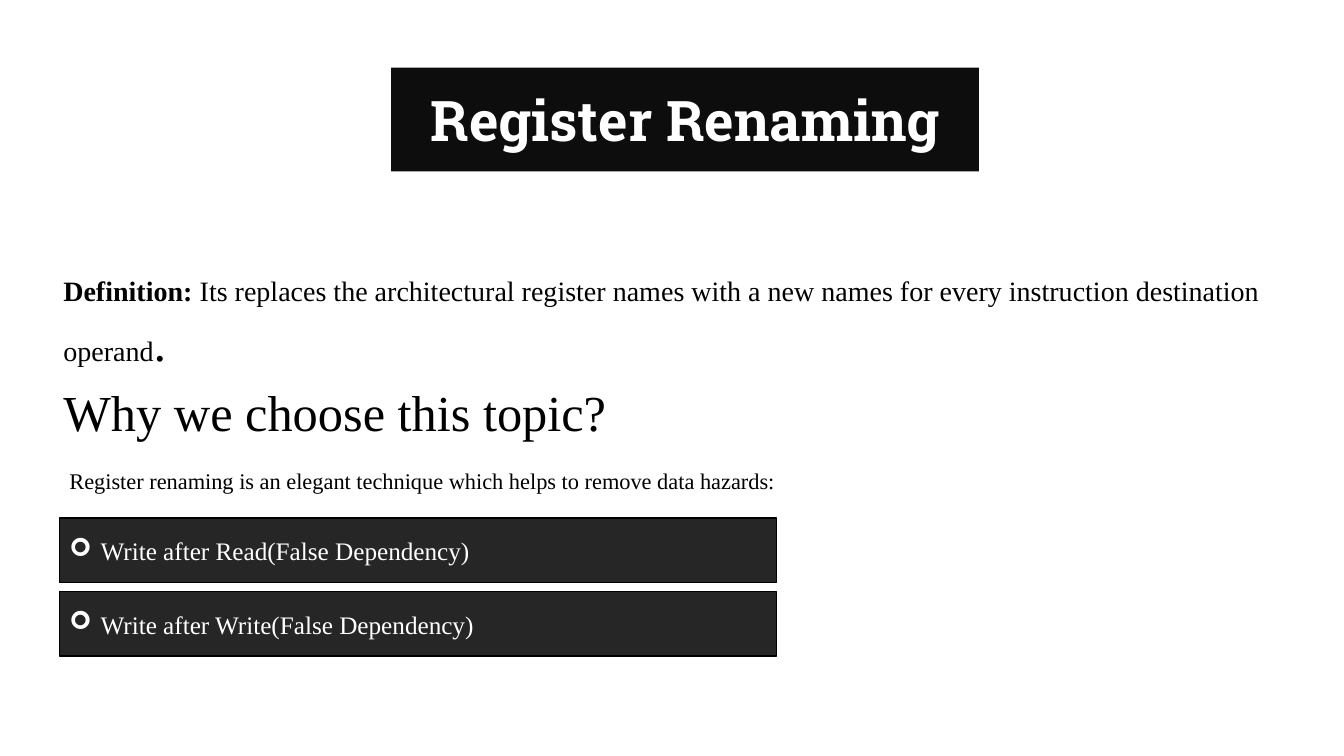
from dataclasses import dataclass

from lxml.etree import SubElement
from pptx import Presentation
from pptx.dml.color import RGBColor
from pptx.enum.shapes import MSO_SHAPE as Shape
from pptx.enum.text import MSO_ANCHOR as Anchor, PP_ALIGN as Align
from pptx.oxml.ns import qn
from pptx.util import Inches, Pt

COLORS = {"title": "0D0D0D", "bar": "262626", "dark": "000000", "light": "FFFFFF"}
SERIF = "Times New Roman"
LINE_SPACING = 1.07
BULLET_INDENT = Inches(0.31)


@dataclass(frozen=True)
class Run:
    text: str
    size: int
    color: str = "dark"
    font: str = SERIF
    bold: bool = False


@dataclass(frozen=True)
class TextBlock:
    left: float
    top: float
    height: float
    runs: tuple[Run, ...]
    width: float = 12.46


@dataclass(frozen=True)
class Panel:
    left: float
    top: float
    width: float
    height: float
    fill: str
    run: Run
    outline: str = ""
    bullet: str = ""


TEXT_BLOCKS = (
    TextBlock(0.53, 2.64, 1.65, (
        Run("Definition: ", 20, bold=True),
        Run("Its replaces the architectural register names with a new names "
            "for every instruction destination operand", 20),
        Run(".", 36),
    )),
    TextBlock(0.59, 4.57, 0.64, (
        Run("Register renaming is an elegant technique which helps to remove data hazards:", 16),
    )),
    TextBlock(0.53, 3.69, 0.71, (Run("Why we choose this topic?", 36),)),
)

TITLE = Panel(3.88, 0.67, 5.83, 1.03, "title",
              Run("Register Renaming", 40, "light", "Roboto Slab", True))

HAZARDS = ("Write after Read(False Dependency)", "Write after Write(False Dependency)")
BAR_TOP, BAR_PITCH = 5.14, 0.73
BARS = tuple(
    Panel(0.59, BAR_TOP + index * BAR_PITCH, 7.11, 0.64, "bar",
          Run(hazard, 18, "light"), "dark", "➢")
    for index, hazard in enumerate(HAZARDS)
)


def rgb(name: str) -> RGBColor:
    return RGBColor.from_string(COLORS[name])


def add_run(paragraph, run: Run) -> None:
    text_run = paragraph.add_run()
    text_run.text = run.text
    formats = {"name": run.font, "size": Pt(run.size), "bold": run.bold}
    for attribute, value in formats.items():
        setattr(text_run.font, attribute, value)
    text_run.font.color.rgb = rgb(run.color)


def add_bullet(paragraph, bullet: str) -> None:
    properties = paragraph._p.get_or_add_pPr()
    properties.set("marL", str(BULLET_INDENT))
    properties.set("indent", str(-BULLET_INDENT))
    SubElement(properties, qn("a:buFont"), typeface="Wingdings")
    SubElement(properties, qn("a:buChar"), char=bullet)


def add_text_block(slide, block: TextBlock) -> None:
    shape = slide.shapes.add_textbox(
        *map(Inches, (block.left, block.top, block.width, block.height)))
    shape.text_frame.word_wrap = True
    paragraph = shape.text_frame.paragraphs[0]
    paragraph.line_spacing = LINE_SPACING
    for run in block.runs:
        add_run(paragraph, run)


def add_panel(slide, panel: Panel) -> None:
    shape = slide.shapes.add_shape(
        Shape.RECTANGLE, *map(Inches, (panel.left, panel.top, panel.width, panel.height)))
    shape.shadow.inherit = False
    shape.fill.solid()
    shape.fill.fore_color.rgb = rgb(panel.fill)
    if panel.outline:
        shape.line.color.rgb = rgb(panel.outline)
        shape.line.width = Pt(1)
    else:
        shape.line.fill.background()
    shape.text_frame.word_wrap = True
    shape.text_frame.vertical_anchor = Anchor.MIDDLE
    paragraph = shape.text_frame.paragraphs[0]
    paragraph.alignment = Align.LEFT if panel.bullet else Align.CENTER
    if panel.bullet:
        add_bullet(paragraph, panel.bullet)
    add_run(paragraph, panel.run)


def main() -> None:
    presentation = Presentation()
    presentation.slide_width = Inches(13.33)
    presentation.slide_height = Inches(7.5)
    slide = presentation.slides.add_slide(presentation.slide_layouts[6])
    add_panel(slide, TITLE)
    for block in TEXT_BLOCKS:
        add_text_block(slide, block)
    for bar in BARS:
        add_panel(slide, bar)
    presentation.save("out.pptx")


if __name__ == "__main__":
    main()
